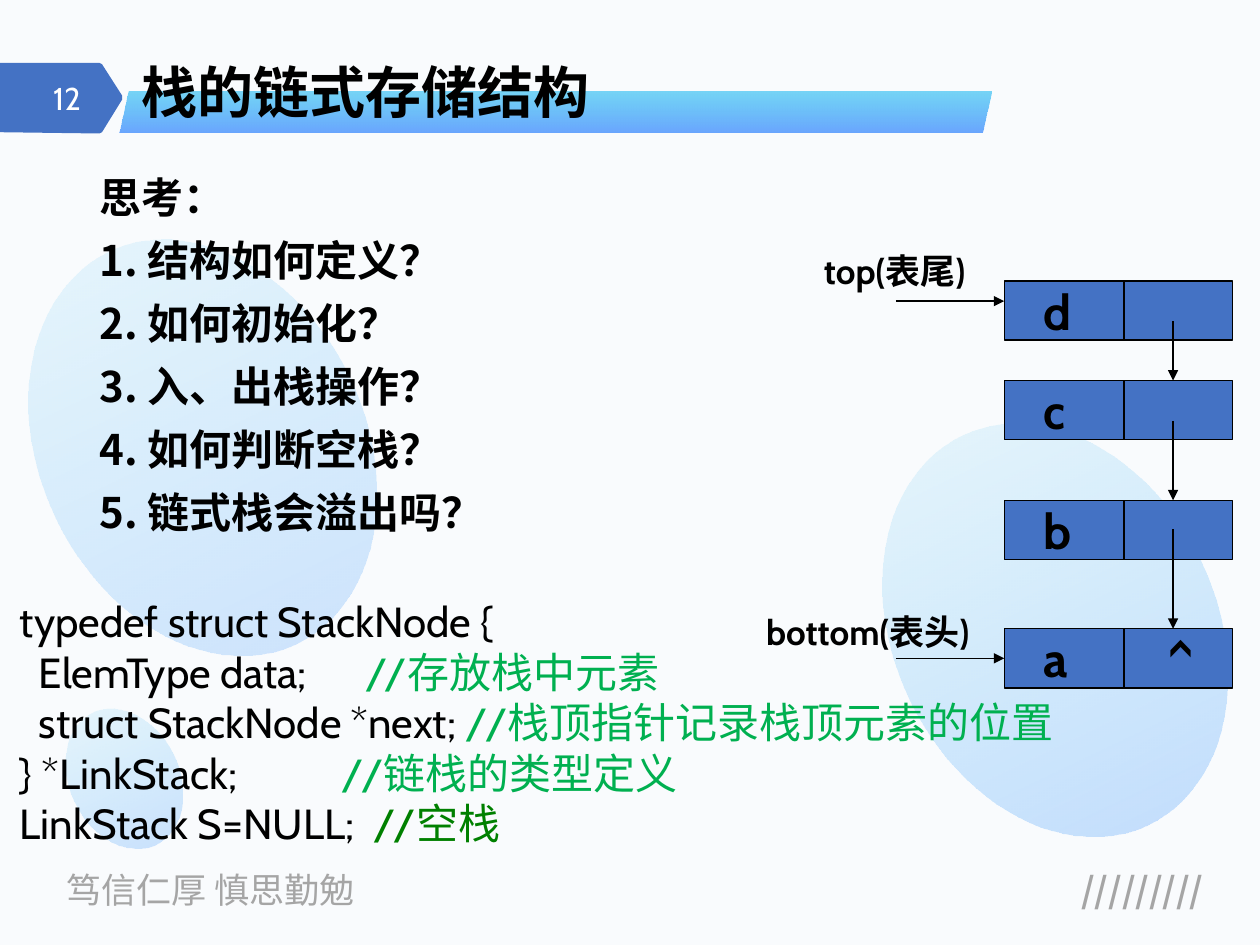
from lxml.etree import SubElement
from pptx import Presentation
from pptx.dml.color import RGBColor
from pptx.enum.shapes import MSO_CONNECTOR as Link, MSO_SHAPE as Preset
from pptx.enum.text import MSO_ANCHOR as Anchor, MSO_AUTO_SIZE as AutoSize, PP_ALIGN as Align
from pptx.oxml.ns import qn
from pptx.util import Inches, Pt

COLORS = {
    "back": "F9FBFD", "ink": "000000", "white": "FFFFFF", "gray": "A5A5A5",
    "blue": "4472C4", "azure": "3385FF", "cyan": "00B0F0",
    "comment": "00B050", "empty": "008000",
}
LATIN, CJK = "Cabin", "Noto Sans CJK SC"


def color(name):
    return RGBColor.from_string(COLORS[name])


def add_span(para, text, size, ink="ink", face=LATIN, bold=False):
    span = para.add_run()
    span.text = text
    for key, value in {"name": face, "size": Pt(size), "bold": bold}.items():
        setattr(span.font, key, value)
    span.font.color.rgb = color(ink)
    SubElement(span.font._element, qn("a:ea"), typeface=CJK)


def set_frame(frame, **values):
    values = {"word_wrap": True, "auto_size": AutoSize.NONE, **values}
    for key, value in values.items():
        setattr(frame, key, value)


def add_tab(para, position):
    tabs = SubElement(para._p.get_or_add_pPr(), qn("a:tabLst"))
    SubElement(tabs, qn("a:tab"), pos=str(Inches(position)), algn="l")


def add_text(page, box, text, size, align=Align.LEFT, frame_values=None, **style):
    shape = page.shapes.add_textbox(*map(Inches, box))
    set_frame(shape.text_frame, **(frame_values or {}))
    para = shape.text_frame.paragraphs[0]
    para.alignment = align
    add_span(para, text, size, **style)


def add_gradient(page, preset, box, stops, turn=0):
    shape = page.shapes.add_shape(preset, *map(Inches, box))
    shape.rotation = turn
    shape.shadow.inherit = False
    shape.line.fill.background()
    shape.fill.gradient()
    shape.fill.gradient_angle = 270
    for stop, place, (name, _) in zip(shape.fill.gradient_stops, (0, 1), stops):
        stop.position = place
        stop.color.rgb = color(name)
    marks = shape._element.spPr.iter(qn("a:srgbClr"))
    for mark, (_, opacity) in zip(list(marks), stops):
        SubElement(mark, qn("a:alpha"), val=str(opacity * 1000))
    return shape


def add_line(page, start, end, arrow=False):
    line = page.shapes.add_connector(Link.STRAIGHT, *map(Inches, start + end))
    line.line.color.rgb = color("ink")
    line.line.width = Pt(0.75)
    if arrow:
        SubElement(line.line._get_or_add_ln(), qn("a:tailEnd"), type="triangle")
    SubElement(line._element.spPr, qn("a:effectLst"))
    return line


def place_backdrop(page):
    page.background.fill.solid()
    page.background.fill.fore_color.rgb = color("back")
    # Footer
    footer = {"ink": "gray", "face": CJK}
    add_text(page, (0.43, 6.84, 2.7, 0.44), "笃信仁厚 慎思勤勉", 20, **footer)
    add_text(page, (7.67, 6.84, 1.98, 0.44), "/////////", 20, Align.RIGHT,
             bold=True, **footer)
    # Tilted ovals
    for box, opacity in (((0.55, 5.6, 0.87, 1.16), 24),
                         ((7.09, 3.29, 2.56, 3.42), 27),
                         ((0.32, 1.83, 2.58, 3.44), 22)):
        add_gradient(page, Preset.OVAL, box, (("azure", opacity), ("cyan", 8)), 154.4)


def place_heading(page, box, title, number):
    left, top, width, height = box
    # Page number tag
    corners = [(0, 0), (0.79, 0), (0.81, 0.01), (0.97, 0.26), (0.97, 0.29),
               (0.81, 0.55), (0.79, 0.56), (0, 0.55)]
    points = [(Inches(left + x), Inches(top + 0.1 + y)) for x, y in corners]
    builder = page.shapes.build_freeform(*points[0])
    builder.add_line_segments(points[1:], close=True)
    tag = builder.convert_to_shape()
    tag.shadow.inherit = False
    tag.fill.solid()
    tag.fill.fore_color.rgb = color("blue")
    tag.line.fill.background()
    add_text(page, (left + 0.1, top + 0.18, 0.64, 0.4), number, 18, Align.RIGHT,
             {"vertical_anchor": Anchor.MIDDLE}, ink="white")
    # Band under the title
    band = add_gradient(page, Preset.PARALLELOGRAM,
                        (left + 0.95, top + height - 0.32, width - 0.95, 0.32),
                        (("cyan", 52), ("azure", 73)))
    band.adjustments[0] = 0.233
    # Title
    holder = page.shapes.title
    fill_holder(page, holder, (left + 1.02, top, width - 1.02, height), Anchor.BOTTOM)
    para = holder.text_frame.paragraphs[0]
    para.alignment = Align.LEFT
    para.line_spacing = 0.9
    add_span(para, title, 32, face=CJK, bold=True)


def fill_holder(page, holder, box, anchor):
    for key, value in zip(("left", "top", "width", "height"), box):
        setattr(holder, key, Inches(value))
    set_frame(holder.text_frame, vertical_anchor=anchor)
    page.shapes._spTree.append(holder._element)


def place_questions(page, box, lines):
    holder = page.placeholders[1]
    fill_holder(page, holder, box, Anchor.TOP)
    frame = holder.text_frame
    for index, text in enumerate(lines):
        para = frame.add_paragraph() if index else frame.paragraphs[0]
        props = para._p.get_or_add_pPr()
        props.set("marL", str(Inches(0.25)))
        props.set("indent", str(-Inches(0.25)))
        SubElement(props, qn("a:buNone"))
        para.line_spacing = 0.9
        para.space_before = Pt(10 if index else 0)
        add_span(para, text, 24, face=CJK, bold=True)


def add_node(page, box, text):
    left, top, width, height = box
    node = page.shapes.add_shape(Preset.RECTANGLE, *map(Inches, box))
    node.shadow.inherit = False
    node.fill.solid()
    node.fill.fore_color.rgb = color("blue")
    node.line.color.rgb = color("ink")
    node.line.width = Pt(0.75)
    set_frame(node.text_frame, vertical_anchor=Anchor.MIDDLE, margin_left=Inches(0.31))
    para = node.text_frame.paragraphs[0]
    para.alignment = Align.LEFT
    add_tab(para, 0.99)
    add_span(para, text, 28, bold=True)
    add_line(page, (left + 0.95, top), (left + 0.95, top + height))
    return node


def place_stack(page, box):
    left, top, width, height = box
    node_left, node_width, node_height = left + 1.89, 1.81, 0.47
    link_x = left + 3.23
    tops = [top + drop for drop in (0.3, 1.09, 2.04, 3.06)]
    nodes = [add_node(page, (node_left, y, node_width, node_height), text)
             for y, text in zip(tops, ("d", "c", "b", "a\t^"))]
    # Links between nodes
    for y, start, following in zip(tops, (0.32, 0.32, 0.23), tops[1:]):
        add_line(page, (link_x, y + start), (link_x, following), arrow=True)
    # Pointers to both ends
    for y in (top + 0.46, tops[-1] + node_height / 2):
        pointer = add_line(page, (left + 1.03, y), (node_left, y), arrow=True)
    pointer.end_connect(nodes[-1], 1)
    add_text(page, (left + 0.36, top, 1.5, 0.44), "top(表尾)", 20, bold=True)
    add_text(page, (left, top + 2.87, 1.81, 0.44), "bottom(表头)", 20,
             frame_values={"margin_left": 0, "margin_right": 0}, bold=True)


def place_code(page, box, lines):
    frame = page.shapes.add_textbox(*map(Inches, box)).text_frame
    set_frame(frame)
    for index, (code, comment, ink, tab) in enumerate(lines):
        para = frame.add_paragraph() if index else frame.paragraphs[0]
        if tab:
            add_tab(para, tab)
        add_span(para, code + ("\t" if tab else ""), 24)
        if comment:
            add_span(para, comment, 24, ink)


def main():
    deck = Presentation()
    deck.slide_width, deck.slide_height = Inches(10), Inches(7.5)
    page = deck.slides.add_slide(deck.slide_layouts[1])
    place_backdrop(page)
    place_heading(page, (0, 0.4, 7.87, 0.65), "栈的链式存储结构", "12")
    place_questions(page, (0.69, 1.36, 8.63, 5.39), [
        "思考：", "1. 结构如何定义？", "2. 如何初始化？", "3. 入、出栈操作？",
        "4. 如何判断空栈？", "5. 链式栈会溢出吗？"])
    place_stack(page, (6.08, 1.93, 3.7, 3.53))
    place_code(page, (0.06, 4.68, 9.26, 2.12), [
        ("typedef struct StackNode {", "", "ink", 0),
        ("  ElemType data;", "//存放栈中元素", "comment", 2.74),
        ("  struct StackNode *next; ", "//栈顶指针记录栈顶元素的位置", "comment", 0),
        ("} *LinkStack;", "//链栈的类型定义", "comment", 2.55),
        ("LinkStack S=NULL;", "//空栈", "empty", 2.81)])
    deck.save("out.pptx")


if __name__ == "__main__":
    main()
